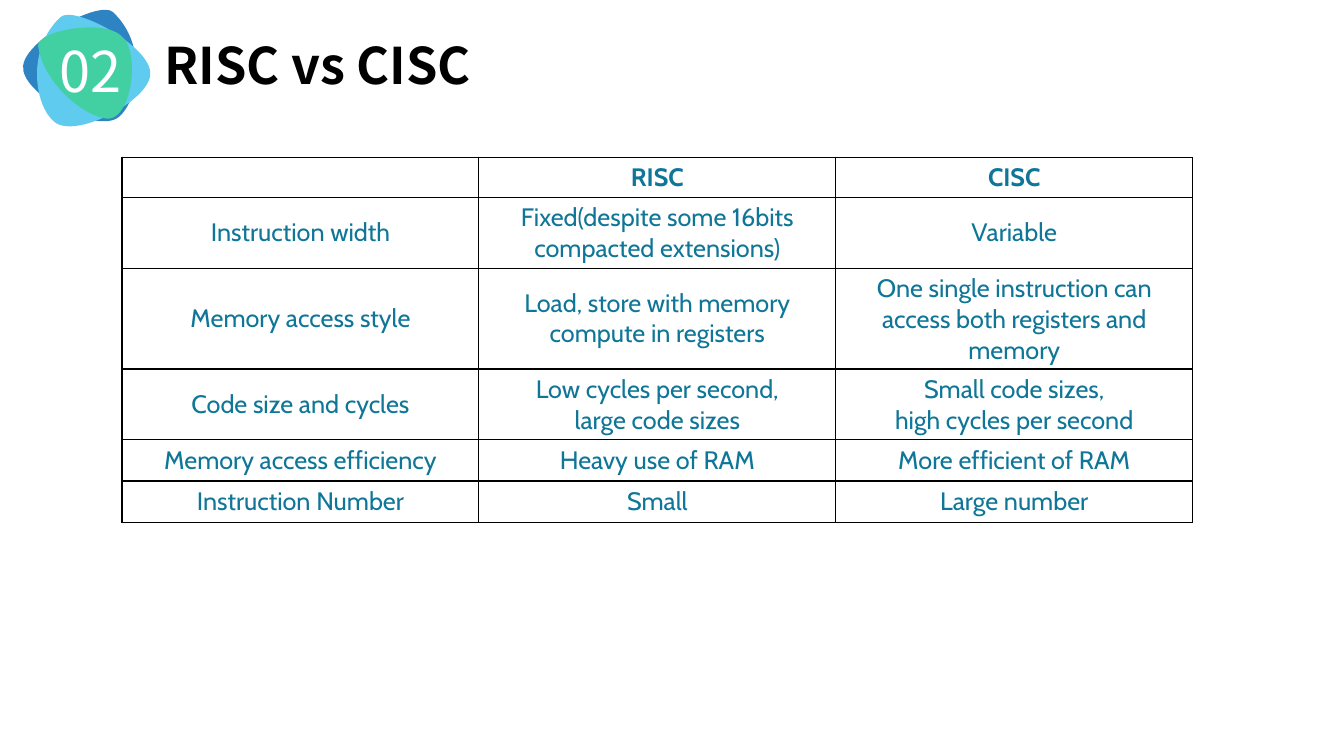
from dataclasses import dataclass

from lxml import etree
from pptx import Presentation
from pptx import util as u
from pptx.dml.color import RGBColor
from pptx.enum import text as t
from pptx.oxml.ns import qn

PX = 9144  # EMU in one px, 100 px to the inch
TITLE = "Noto Sans CJK SC"
BODY = "Cabin"
TEAL = "0F7698"
BLACK = "000000"

Point = tuple[int, int]


@dataclass
class Blob:
    color: str
    start: Point
    curves: list[tuple[Point, Point, Point]]
    turn: float = 0


@dataclass
class Label:
    words: str
    box: tuple[int, int, int, int]
    size: int
    color: str
    bold: bool


BLOBS = [
    Blob("2E83C3", (112, 12), [
        ((99, 0), (26, 39), (23, 65)),
        ((19, 92), (96, 134), (118, 116)),
        ((137, 100), (147, 45), (112, 12)),
    ]),
    Blob("5FCBEF", (60, 17), [
        ((73, 5), (146, 44), (149, 71)),
        ((153, 97), (76, 139), (54, 121)),
        ((35, 106), (25, 50), (60, 17)),
    ]),
    Blob("42D0A2", (69, 14), [
        ((79, 3), (132, 40), (134, 65)),
        ((137, 91), (82, 131), (66, 114)),
        ((52, 98), (45, 46), (69, 14)),
    ], turn=314.6),
]
HEAD = Label("RISC vs CISC", (153, 28, 817, 71), 36, BLACK, True)
NUMBER = Label("02", (49, 31, 88, 77), 40, "FFFFFF", False)

ROWS = [
    ("", "RISC", "CISC"),
    ("Instruction width",
     "Fixed(despite some 16bits compacted extensions)", "Variable"),
    ("Memory access style", "Load, store with memory compute in registers",
     "One single instruction can access both registers and memory"),
    ("Code size and cycles", "Low cycles per second,\vlarge code sizes",
     "Small code sizes,\vhigh cycles per second"),
    ("Memory access efficiency", "Heavy use of RAM", "More efficient of RAM"),
    ("Instruction Number", "Small", "Large number"),
]
TABLE = (121, 156, 1062, 361)
FIRST, OTHER = 36, 41


def emu(px: int) -> int:
    return px * PX


def rgb(code: str) -> RGBColor:
    return RGBColor.from_string(code)


def style(font, color: str, **values) -> None:
    for key, value in values.items():
        setattr(font, key, value)
    font.color.rgb = rgb(color)


def bend(shape) -> None:
    """Turn each three line segments into one cubic curve."""
    lines = list(shape._element.iter(qn("a:lnTo")))
    for i in range(0, len(lines), 3):
        curve = etree.Element(qn("a:cubicBezTo"))
        lines[i].addprevious(curve)
        for line in lines[i:i + 3]:
            curve.append(line[0])
            line.getparent().remove(line)


def add_blob(shapes, blob: Blob) -> None:
    pen = shapes.build_freeform(*blob.start, scale=PX)
    pen.add_line_segments([p for curve in blob.curves for p in curve])
    shape = pen.convert_to_shape()
    bend(shape)
    shape.rotation = blob.turn
    shape.shadow.inherit = False
    shape.fill.solid()
    shape.fill.fore_color.rgb = rgb(blob.color)
    shape.line.fill.background()


def add_label(shapes, label: Label) -> None:
    frame = shapes.add_textbox(*map(emu, label.box)).text_frame
    frame.word_wrap = True
    frame.vertical_anchor = t.MSO_ANCHOR.MIDDLE
    run = frame.paragraphs[0].add_run()
    run.text = label.words
    style(run.font, label.color, name=TITLE, size=u.Pt(label.size),
          bold=label.bold)


def add_edges(cell) -> None:
    props = cell._tc.get_or_add_tcPr()
    for side in ("lnL", "lnR", "lnT", "lnB"):
        line = etree.SubElement(props, qn(f"a:{side}"), w=str(u.Pt(1)))
        fill = etree.SubElement(line, qn("a:solidFill"))
        etree.SubElement(fill, qn("a:srgbClr"), val=BLACK)


def add_grid(shapes) -> None:
    frame = shapes.add_table(len(ROWS), len(ROWS[0]), *map(emu, TABLE))
    table = frame.table
    table.first_row = table.horz_banding = False
    for r, words in enumerate(ROWS):
        table.rows[r].height = emu(OTHER if r else FIRST)
        for c, word in enumerate(words):
            cell = table.cell(r, c)
            add_edges(cell)
            cell.fill.background()
            cell.vertical_anchor = t.MSO_ANCHOR.MIDDLE
            cell.text_frame.text = word
            para = cell.text_frame.paragraphs[0]
            para.alignment = t.PP_ALIGN.CENTER
            for run in para.runs:
                style(run.font, TEAL, name=BODY, size=u.Pt(18), bold=r == 0)
    frame.height = emu(TABLE[3])


def main() -> None:
    deck = Presentation()
    deck.slide_width, deck.slide_height = emu(1333), emu(750)
    shapes = deck.slides.add_slide(deck.slide_layouts[6]).shapes
    add_label(shapes, HEAD)
    badge = shapes.add_group_shape().shapes
    for blob in BLOBS:
        add_blob(badge, blob)
    add_label(badge, NUMBER)
    add_grid(shapes)
    deck.save("out.pptx")


if __name__ == "__main__":
    main()
